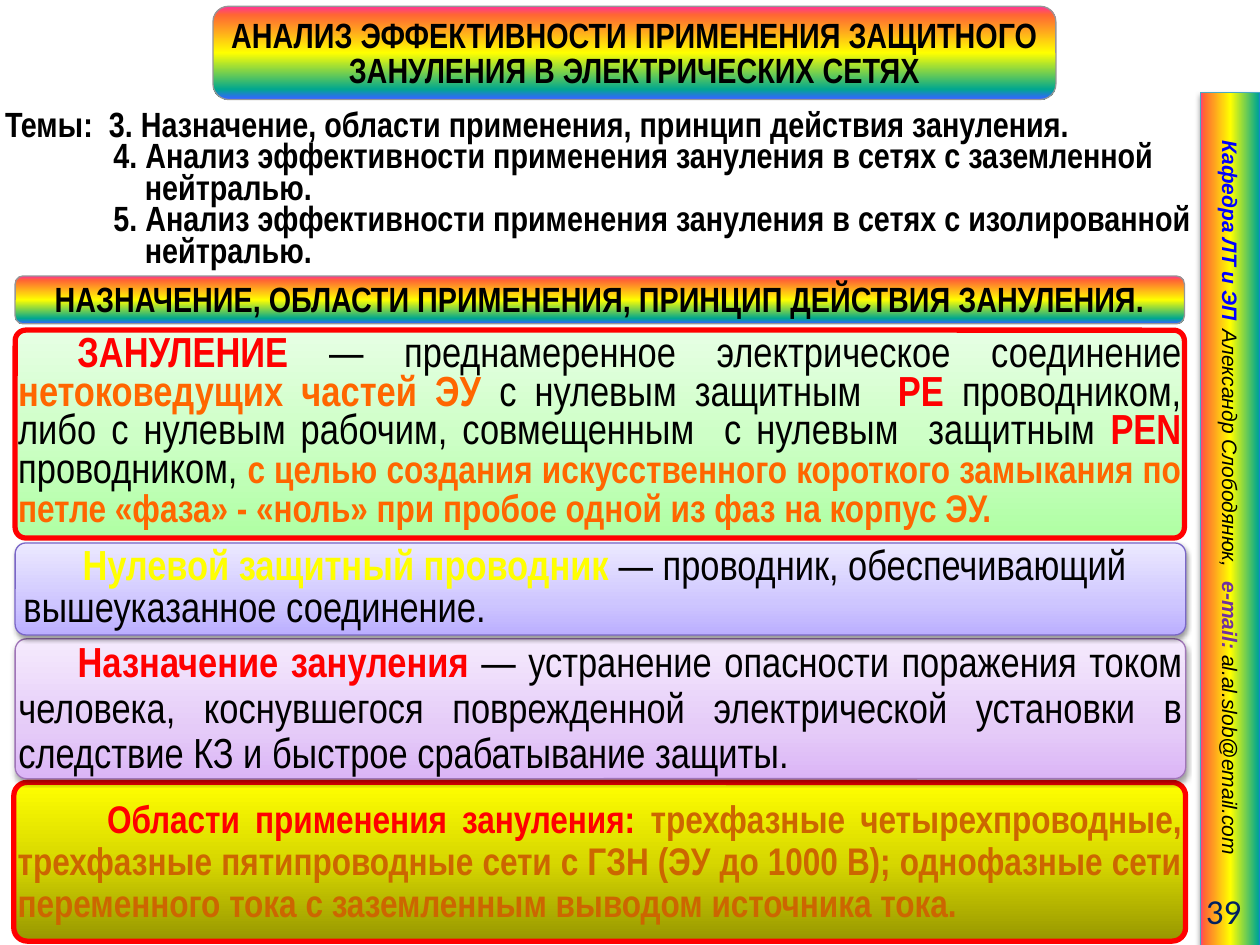
import pptx
import pptx.util
import pptx.dml.color
import pptx.enum.shapes
import pptx.enum.text
import pptx.oxml
from lxml import etree

Inches, Pt = pptx.util.Inches, pptx.util.Pt
ALIGN = pptx.enum.text.PP_ALIGN
SHAPES = pptx.enum.shapes.MSO_SHAPE
NS = "http://schemas.openxmlformats.org/drawingml/2006/main"

BLACK, RED, ORANGE, BROWN = "000000", "FF0000", "FF6600", "CC6600"
HAIRLINE, THIN, FULL = (0.07, 55), (0.75, 100), (1, 100)

SIDE_RAINBOW = [(0, "FF3399"), (6, "FF6633"), (50, "FFFF00"), (96, "01A78F"), (100, "3366FF")]
RAINBOW = [(0, "FF3399"), (9, "FF6633"), (50, "FFFF00"), (89, "01A78F"), (99, "3366FF")]

# Runs: text, colour, bold, outline (width, opacity), own size
SIDEBAR = [
    ("Кафедра ЛТ и ЭП", "0000FF", True),
    ("\tАлександр Слободянюк,", BLACK, False),
    ("\te-mail: ", "7030A0", True),
    ("al.al.slob@email.com", BLACK, False),
]
SIDEBAR_TABS = [1.85, 3.82]

# Topics: text, left margin, first-line indent
TOPICS = [
    ("Темы:  3. Назначение, области применения, принцип действия зануления.", 0, 0),
    ("4. Анализ эффективности применения зануления в сетях с заземленной", 1.11, -0.25),
    ("нейтралью.", 1.11, 0),
    ("5. Анализ эффективности применения зануления в сетях с изолированной", 1.11, -0.25),
    ("нейтралью.", 1.11, 0),
]

HEADINGS = [
    ((1.69, 0.05, 6.69, 0.74),
     "АНАЛИЗ ЭФФЕКТИВНОСТИ ПРИМЕНЕНИЯ ЗАЩИТНОГО ЗАНУЛЕНИЯ В ЭЛЕКТРИЧЕСКИХ СЕТЯХ"),
    ((0.12, 2.19, 9.28, 0.38),
     "НАЗНАЧЕНИЕ, ОБЛАСТИ ПРИМЕНЕНИЯ, ПРИНЦИП ДЕЙСТВИЯ ЗАНУЛЕНИЯ."),
]

PANELS = [
    dict(place=(0.11, 6.21, 9.3, 1.26), corner=0.084, line=(RED, 3), shadow=False,
         stops=[(0, "979700"), (50, "D7D700"), (100, "FFFF00")],
         insets=(0, 0.04, 0, 0.04), align=ALIGN.JUSTIFY, indent=0.71, spacing=24, size=22,
         runs=[("Области применения зануления: ", RED, True, HAIRLINE),
               ("трехфазные четырехпроводные, трехфазные пятипроводные сети с ГЗН "
                "(ЭУ до 1000 В); однофазные сети переменного тока с заземленным "
                "выводом источника тока.", BROWN, True, FULL)]),
    dict(place=(0.12, 5.07, 9.29, 1.11), corner=0.081, line=("A075B8", 0.75), shadow=True,
         stops=[(0, "DBB5F6"), (35, "E5CBF8"), (100, "F5EAFD")],
         insets=(0, 0, 0, 0), align=ALIGN.JUSTIFY, indent=0.47, spacing=26, size=24,
         runs=[("Назначение зануления ", RED, True, HAIRLINE),
               ("— устранение опасности поражения током человека, коснувшегося "
                "поврежденной электрической установки в следствие КЗ и быстрое "
                "срабатывание защиты.", BLACK, False)]),
    dict(place=(0.12, 4.31, 9.29, 0.73), corner=0.117, line=("7A66C7", 0.75), shadow=True,
         stops=[(0, "BBAEFF"), (35, "CEC6FF"), (100, "ECE9FF")],
         insets=(0.04, 0.04, 0.04, 0.04), align=ALIGN.LEFT, indent=0.47, spacing=24, size=24,
         runs=[("Нулевой защитный проводник ", "FFFF00", True, THIN),
               ("— проводник, обеспечивающий вышеуказанное соединение.", BLACK, False)]),
    dict(place=(0.12, 2.62, 9.28, 1.65), corner=0.051, line=(RED, 3), shadow=False,
         stops=[(0, "AFFFA3"), (50, "CEFFC7"), (100, "E7FFE4")],
         insets=(0, 0, 0, 0), align=ALIGN.JUSTIFY, indent=0.47, spacing=22, size=24,
         runs=[("ЗАНУЛЕНИЕ ", RED, True, HAIRLINE),
               ("— преднамеренное электрическое соединение ", BLACK, False),
               ("нетоковедущих частей ЭУ ", ORANGE, True, THIN),
               ("с нулевым защитным  ", BLACK, False),
               ("PE ", RED, True, HAIRLINE),
               ("проводником, либо с нулевым рабочим, совмещенным  с нулевым  защитным ",
                BLACK, False),
               ("PEN ", RED, True, HAIRLINE),
               ("проводником, ", BLACK, False),
               ("с целью создания искусственного короткого замыкания по петле «фаза» - "
                "«ноль» при пробое одной из фаз на корпус ЭУ.", ORANGE, True, FULL, 22)]),
]


def rgb(color):
    return pptx.dml.color.RGBColor.from_string(color)


def xml(text):
    return pptx.oxml.parse_xml(text.replace(">", f' xmlns:a="{NS}">', 1))


def add_panel(page, place, stops, angle, line, kind=SHAPES.ROUNDED_RECTANGLE,
              corner=None, shadow=False):
    """Add a gradient shape; the angle runs clockwise in degrees."""
    shape = page.shapes.add_shape(kind, *map(Inches, place))
    if corner is not None:
        shape.adjustments[0] = corner
    shape.line.color.rgb = rgb(line[0])
    shape.line.width = Pt(line[1])
    marks = "".join(f'<a:gs pos="{at * 1000}"><a:srgbClr val="{color}"/></a:gs>'
                    for at, color in stops)
    gradient = xml(f'<a:gradFill rotWithShape="1"><a:gsLst>{marks}</a:gsLst>'
                   f'<a:lin ang="{angle * 60000}" scaled="0"/></a:gradFill>')
    shape.element.spPr.find(f"{{{NS}}}prstGeom").addnext(gradient)
    shape.shadow.inherit = False
    if shadow:
        effects = shape.element.spPr.find(f"{{{NS}}}effectLst")
        effects.append(xml(
            f'<a:outerShdw blurRad="{Pt(3.1)}" dist="{Pt(1.6)}" dir="5400000" rotWithShape="0">'
            '<a:srgbClr val="000000"><a:alpha val="38000"/></a:srgbClr></a:outerShdw>'))
    return shape


def set_frame(shape, insets):
    frame = shape.text_frame
    frame.word_wrap = True
    frame.vertical_anchor = pptx.enum.text.MSO_ANCHOR.MIDDLE
    (frame.margin_left, frame.margin_top,
     frame.margin_right, frame.margin_bottom) = map(Inches, insets)
    return frame


def write(para, runs, size, name="Arial Narrow", align=ALIGN.LEFT, spacing=None,
          margin=0, indent=0, tabs=(), italic=False):
    para.alignment = align
    if spacing:
        para.line_spacing = Pt(spacing)
    properties = para._p.get_or_add_pPr()
    properties.set("marL", str(Inches(margin)))
    properties.set("indent", str(Inches(indent)))
    if tabs:
        stops = etree.SubElement(properties, f"{{{NS}}}tabLst")
        for tab in tabs:
            etree.SubElement(stops, f"{{{NS}}}tab", pos=str(Inches(tab)), algn="l")
    para.font.name = name
    para.font.size = Pt(size)
    para.font.italic = italic
    for text, color, bold, outline, own_size in ((*run, None, None)[:5] for run in runs):
        span = para.add_run()
        span.text = text
        span.font.bold = bold
        span.font.color.rgb = rgb(color)
        if own_size:
            span.font.size = Pt(own_size)
        if outline:
            width, opacity = outline
            span.font._element.insert(0, xml(
                f'<a:ln w="{Pt(width)}"><a:solidFill><a:srgbClr val="{BLACK}">'
                f'<a:alpha val="{opacity * 1000}"/></a:srgbClr></a:solidFill></a:ln>'))


def main():
    deck = pptx.Presentation()
    deck.slide_width, deck.slide_height = Inches(10), Inches(7.5)
    page = deck.slides.add_slide(deck.slide_layouts[6])

    sidebar = add_panel(page, (6.38, 3.88, 6.77, 0.48), SIDE_RAINBOW, 270,
                        ("46AAC5", 0.75), SHAPES.RECTANGLE, shadow=True)
    sidebar.rotation = 90
    frame = set_frame(sidebar, (0.38, 0.05, 0.1, 0.05))
    write(frame.paragraphs[0], SIDEBAR, 12, "Arial", tabs=SIDEBAR_TABS, italic=True)

    number = page.shapes.add_textbox(*map(Inches, (8.86, 7.03, 1.09, 0.4)))
    frame = set_frame(number, (0.1, 0.05, 0.1, 0.05))
    write(frame.paragraphs[0], [("39", "002060", False)], 20, "Calibri", ALIGN.RIGHT)

    topics = page.shapes.add_textbox(*map(Inches, (0, 0.84, 9.53, 1.36)))
    frame = set_frame(topics, (0.04, 0.04, 0.04, 0.04))
    for index, (text, margin, indent) in enumerate(TOPICS):
        para = frame.add_paragraph() if index else frame.paragraphs[0]
        write(para, [(text, BLACK, True)], 20, spacing=18, margin=margin, indent=indent)

    for panel in PANELS:
        box = add_panel(page, panel["place"], panel["stops"], 270, panel["line"],
                        corner=panel["corner"], shadow=panel["shadow"])
        frame = set_frame(box, panel["insets"])
        write(frame.paragraphs[0], panel["runs"], panel["size"], align=panel["align"],
              spacing=panel["spacing"], indent=panel["indent"])

    for place, text in HEADINGS:
        box = add_panel(page, place, RAINBOW, 90, ("969696", 0.75))
        frame = set_frame(box, (0.04, 0.04, 0.04, 0))
        write(frame.paragraphs[0], [(text, BLACK, True)], 20, align=ALIGN.CENTER, spacing=20)

    deck.save("out.pptx")


if __name__ == "__main__":
    main()
